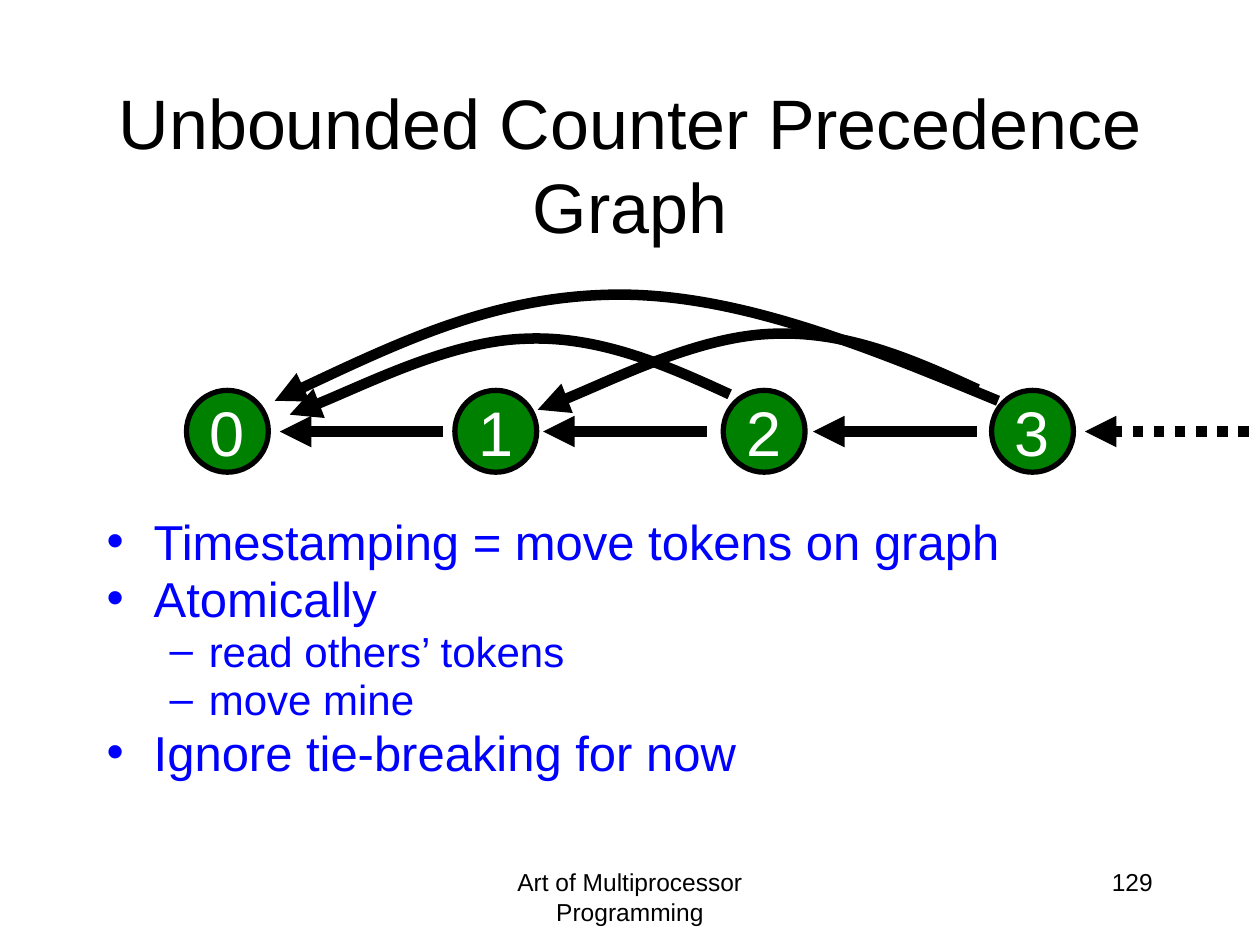
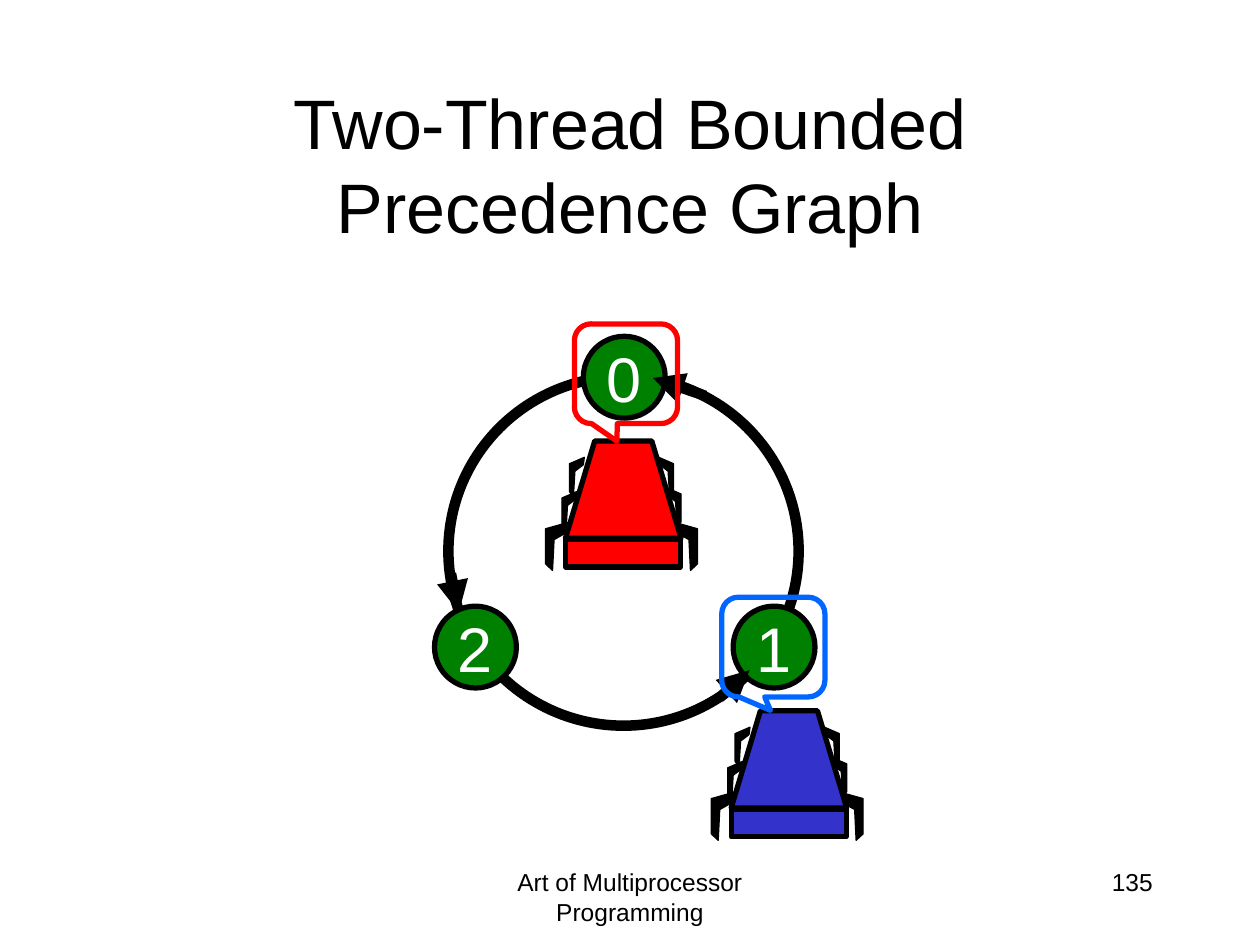
from lxml import etree
from pptx import Presentation
from pptx import util as u
from pptx.dml.color import RGBColor
from pptx.enum import dml, shapes, text
from pptx.oxml import ns

HUES = {"ink": "000000", "paper": "FFFFFF", "node": "008000", "note": "0000FF",
        "red": "FF0000", "blue": "3333CC", "sky": "0066FF"}
FONT = "Arial"
FOOT = "Art of Multiprocessor Programming"
BOXES = {"title": (1.9, 1.7, 21.6, 3.18), "foot": (8.68, 17.36, 8.04, 1.27),
         "page": (18.21, 17.36, 5.28, 1.27), "body": (1.9, 10.41, 21.6, 5.87)}
LEVELS = [{"size": 28, "mark": "•", "left": 0.95, "hang": 0.95},
          {"size": 24, "mark": "–", "left": 2.06, "hang": 0.79}]

LINE = {
    "title": "Unbounded Counter Precedence Graph", "page": "129",
    "notes": [(0, "Timestamping = move tokens on graph"), (0, "Atomically"),
              (1, "read others’ tokens"), (1, "move mine"),
              (0, "Ignore tie-breaking for now")],
    "first": (3.76, 7.87), "step": 5.41, "count": 4,
    "hops": [8.94, 14.25, 19.69, 25.17], "reach": 3.3, "level": 8.7,
}
LONG = [(20.12, 8.08), (17.53, 7.01), (14.94, 5.94), (12.5, 5.94),
        (10.06, 5.94), (7.8, 7.01), (5.54, 8.08)]
SHORT = [(14.71, 7.95), (13.39, 7.34), (12.04, 6.76), (10.57, 6.83),
         (9.09, 6.88), (6.63, 8.1), (5.84, 8.36)]
SHIFT = (5, -0.1)

RING = {
    "title": "Two-Thread Bounded Precedence Graph", "page": "135",
    "ring": (9.04, 7.59, 7.06, 7.04),
    "nodes": [(11.76, 6.78), (14.78, 12.22), (8.76, 12.22)],
    "tips": [(9.09, 11.56, 9.25, 12.34), (14.5, 14.07, 15.11, 13.51),
             (14.22, 7.98, 13.16, 7.62)],
    "calls": [("red", (11.58, 6.53), (-0.088, 0.677, 0.167)),
              ("sky", (14.55, 12.04), (-0.027, 0.635, 0.167))],
}
BLUE, RED = ("blue", 15.87, 14.33), ("red", 12.53, 8.89)
BIG = [(0, 0), (0.5, 0.14), (0.5, 0.85), (0.36, 0.98), (0.33, 0.36), (0.03, 0.19)]
SMALL = [(0, 0), (0.3, 0.13), (0.3, 0.69), (0.22, 0.8), (0.19, 0.28), (0.02, 0.15)]
HULL = [(-1.13, 1.96), (-0.54, 0), (0.61, 0), (1.2, 1.96)]
BASE = (-1.13, 1.98, 2.32, 0.56)
LOW = [(BIG, 1.03, 1.63, 1.63), (SMALL, 0.9, 0.94, 1.02)]
HIGH = [(SMALL, 0.75, 0.33, 0.33)]


def hue(name):
    return RGBColor.from_string(HUES[name])


def cms(vals):
    return [u.Cm(v) for v in vals]


def put(obj, **fmt):
    for key, val in fmt.items():
        setattr(obj, key, val)


def sub(node, tag, **atts):
    return etree.SubElement(node, ns.qn(tag), atts)


def style(item, fill=None, line="ink", width=3):
    item.shadow.inherit = False
    if fill:
        item.fill.solid()
        item.fill.fore_color.rgb = hue(fill)
    else:
        item.fill.background()
    item.line.color.rgb = hue(line)
    item.line.width = u.Pt(width)
    return item


def point(item):
    sub(item.line._get_or_add_ln(), "a:tailEnd", type="triangle")


def write(para, words, size, color="ink", align=None):
    para.text = words
    para.alignment = align
    put(para.font, name=FONT, size=u.Pt(size))
    para.font.color.rgb = hue(color)


def label(slide, box, words, size, align, anchor=text.MSO_ANCHOR.TOP):
    frame = slide.shapes.add_textbox(*cms(BOXES[box])).text_frame
    put(frame, word_wrap=True, vertical_anchor=anchor)
    write(frame.paragraphs[0], words, size, align=align)


def start(deck, data):
    slide = deck.slides.add_slide(deck.slide_layouts[6])
    label(slide, "foot", FOOT, 14, text.PP_ALIGN.CENTER)
    label(slide, "page", data["page"], 14, text.PP_ALIGN.RIGHT)
    label(slide, "title", data["title"], 40, text.PP_ALIGN.CENTER, text.MSO_ANCHOR.MIDDLE)
    return slide


def shape(slide, kind, box, **look):
    return style(slide.shapes.add_shape(kind, *cms(box)), **look)


def node(slide, num, spot):
    item = shape(slide, shapes.MSO_SHAPE.OVAL, (*spot, 1.65, 1.65), fill="node")
    put(item.text_frame, word_wrap=False, vertical_anchor=text.MSO_ANCHOR.MIDDLE)
    write(item.text_frame.paragraphs[0], str(num), 36, "paper", text.PP_ALIGN.CENTER)


def arrow(slide, ends, dash=None):
    item = slide.shapes.add_connector(shapes.MSO_CONNECTOR.STRAIGHT, *cms(ends))
    put(item.line, width=u.Pt(6), dash_style=dash)
    item.line.color.rgb = hue("ink")
    point(item)
    sub(item._element.spPr, "a:effectLst")


def outline(slide, spots, closed=True, **look):
    spots = [cms(s) for s in spots]
    pen = slide.shapes.build_freeform(*spots[0])
    pen.add_line_segments(spots[1:], close=closed)
    return style(pen.convert_to_shape(), **look)


def curve(slide, spots):
    item = outline(slide, spots, closed=False, width=6)
    segs = list(item._element.iter(ns.qn("a:lnTo")))
    for i in range(0, len(segs), 3):
        bend = etree.Element(ns.qn("a:cubicBezTo"))
        segs[i].addprevious(bend)
        for seg in segs[i:i + 3]:
            bend.append(seg[0])
            seg.getparent().remove(seg)
    point(item)


def legs(slide, x, y, pairs):
    for form, out, right, left in pairs:
        for side, drop in ((1, right), (-1, left)):
            outline(slide, [(x + side * (out + a), y + drop + b) for a, b in form],
                    fill="ink", width=0.75)


def robot(slide, color, x, y):
    legs(slide, x, y, LOW)
    outline(slide, [(x + a, y + b) for a, b in HULL], fill=color)
    left, top, *size = BASE
    shape(slide, shapes.MSO_SHAPE.RECTANGLE, (x + left, y + top, *size), fill=color)
    legs(slide, x, y, HIGH)


def bullets(slide, notes):
    frame = slide.shapes.add_textbox(*cms(BOXES["body"])).text_frame
    frame.word_wrap = True
    for i, (depth, words) in enumerate(notes):
        para = frame.paragraphs[0] if i == 0 else frame.add_paragraph()
        kind = LEVELS[depth]
        gap = 0.2 * kind["size"] if i else 0
        put(para, level=depth, line_spacing=0.8, space_before=u.Pt(gap))
        props = para._p.get_or_add_pPr()
        props.set("marL", str(u.Cm(kind["left"])))
        props.set("indent", str(-u.Cm(kind["hang"])))
        sub(props, "a:buFont", typeface=FONT)
        sub(props, "a:buChar", char=kind["mark"])
        write(para, words, kind["size"], "note")


def row(deck):
    slide = start(deck, LINE)
    x, y = LINE["first"]
    for i in range(LINE["count"]):
        node(slide, i, (x + i * LINE["step"], y))
    for i, hop in enumerate(LINE["hops"], 1):
        dash = dml.MSO_LINE.ROUND_DOT if i == LINE["count"] else None
        arrow(slide, (hop, LINE["level"], hop - LINE["reach"], LINE["level"]), dash)
    dx, dy = SHIFT
    for spots in (LONG, SHORT, [(a + dx, b + dy) for a, b in SHORT]):
        curve(slide, spots)
    bullets(slide, LINE["notes"])


def ring(deck):
    slide = start(deck, RING)
    shape(slide, shapes.MSO_SHAPE.OVAL, RING["ring"], width=6)
    for i, spot in enumerate(RING["nodes"]):
        node(slide, i, spot)
    robot(slide, *BLUE)
    for ends in RING["tips"]:
        arrow(slide, ends)
    robot(slide, *RED)
    for color, spot, bends in RING["calls"]:
        call = shape(slide, shapes.MSO_SHAPE.ROUNDED_RECTANGULAR_CALLOUT,
                     (*spot, 2.08, 2.01), line=color)
        for i, bend in enumerate(bends):
            call.adjustments[i] = bend


def main():
    deck = Presentation()
    put(deck, slide_width=u.Cm(25.4), slide_height=u.Cm(19.05))
    row(deck)
    ring(deck)
    deck.save("out.pptx")


if __name__ == "__main__":
    main()
